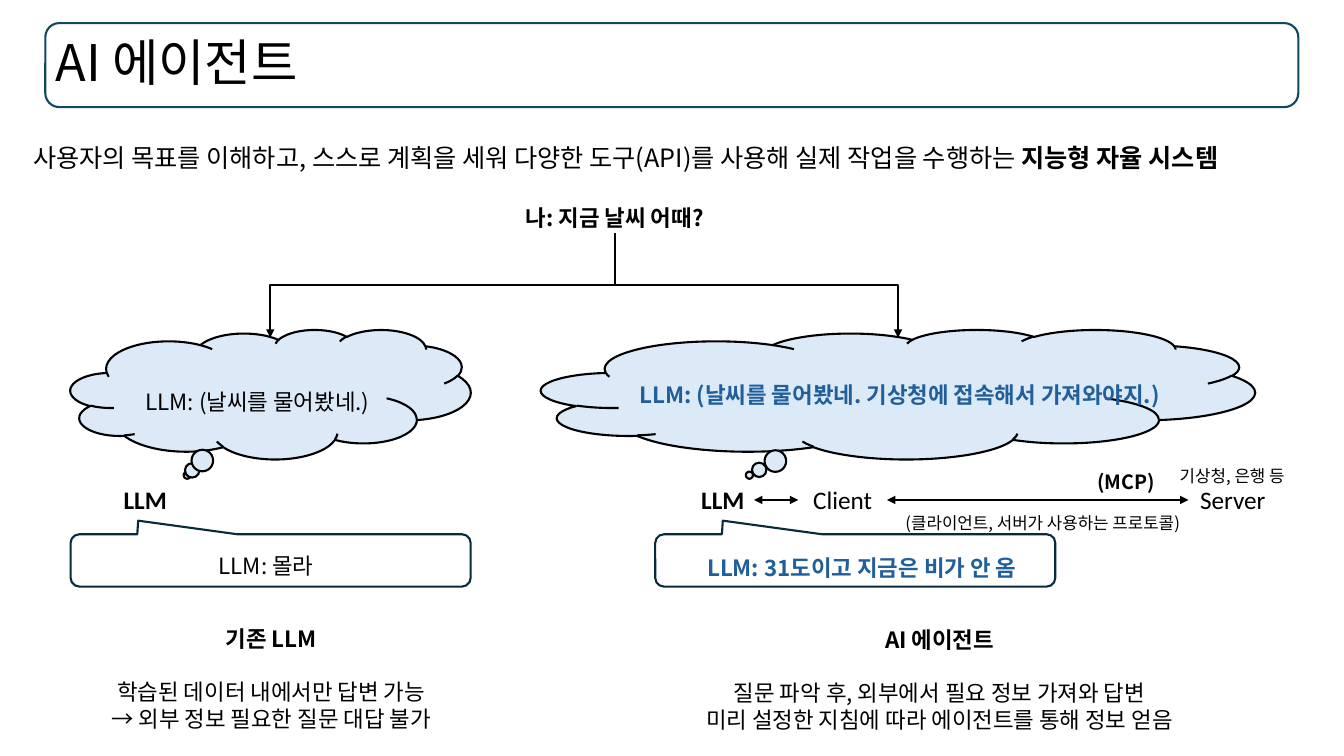
import pptx
import pptx.util
import pptx.dml.color
import pptx.enum.shapes
import pptx.enum.text
import pptx.oxml.ns
import lxml.etree

Pt = pptx.util.Pt
Shape = pptx.enum.shapes.MSO_SHAPE
Line = pptx.enum.shapes.MSO_CONNECTOR
Align = pptx.enum.text.PP_ALIGN
qn = pptx.oxml.ns.qn

COLOURS = {
    "ink": "000000",
    "cloud": "DCEAF7",
    "frame": "104862",
    "balloon": "092A39",
    "paper": "FFFFFF",
    "accent": "215F9A",
}
KOREAN = "Noto Sans CJK KR"
CAPTION_GAP = 19.2
SLIDE_WIDTH, SLIDE_HEIGHT = 960, 540


def colour(name):
    return pptx.dml.color.RGBColor.from_string(COLOURS[name])


def add_span(para, text, size=16, font=KOREAN, bold=False, ink="ink"):
    span = para.add_run()
    span.text = text
    span.font.size = Pt(size)
    span.font.bold = bold
    span.font.color.rgb = colour(ink)
    span.font.name = font
    east_asian = lxml.etree.SubElement(span.font._element, qn("a:ea"))
    east_asian.set("typeface", font)


def add_label(page, text, left, top, width, height, align=Align.CENTER,
              spacing=1, wrap=True, size=16, **style):
    box = page.shapes.add_textbox(Pt(left), Pt(top), Pt(width), Pt(height))
    box.text_frame.word_wrap = wrap
    para = box.text_frame.paragraphs[0]
    para.alignment = align
    para.line_spacing = Pt(size * 1.2 * spacing)
    add_span(para, text, size=size, **style)
    return box


def add_outline(page, kind, left, top, width, height, line, fill=None):
    shape = page.shapes.add_shape(kind, Pt(left), Pt(top), Pt(width), Pt(height))
    shape.shadow.inherit = False
    if fill:
        shape.fill.solid()
        shape.fill.fore_color.rgb = colour(fill)
    else:
        shape.fill.background()
    shape.line.color.rgb = colour(line)
    shape.line.width = Pt(1.5)
    return shape


def add_arrow(page, kind, start, end, heads):
    arrow = page.shapes.add_connector(kind, *map(Pt, start + end))
    arrow.line.color.rgb = colour("ink")
    arrow.line.width = Pt(1.5)
    for head in heads:
        mark = lxml.etree.SubElement(arrow.line._get_or_add_ln(), qn(f"a:{head}"))
        mark.set("type", "triangle")
    lxml.etree.SubElement(arrow.element.spPr, qn("a:effectLst"))
    return arrow


def add_branch(page, start, end):
    span, drop = abs(end[0] - start[0]), end[1] - start[1]
    middle_x, middle_y = (start[0] + end[0]) / 2, (start[1] + end[1]) / 2
    top, bottom = middle_y - span / 2, middle_y + span / 2
    side = -1 if end[0] < start[0] else 1
    branch = add_arrow(page, Line.ELBOW, (middle_x + side * drop / 2, top),
                       (middle_x - side * drop / 2, bottom), ["tailEnd"])
    quarter_turns = 1 if side < 0 else 3
    branch.element.spPr.find(qn("a:xfrm")).set("rot", str(quarter_turns * 5400000))


def add_heading(page, left, top, width, height):
    add_outline(page, Shape.ROUNDED_RECTANGLE, left, top, width, height, "frame")
    title = page.shapes.title
    title.left, title.top, title.width, title.height = map(Pt, (left, top, width, height))
    frame = title.text_frame
    frame.auto_size = pptx.enum.text.MSO_AUTO_SIZE.NONE
    frame.vertical_anchor = pptx.enum.text.MSO_ANCHOR.MIDDLE
    para = frame.paragraphs[0]
    para.alignment = Align.LEFT
    para.line_spacing = 0.9
    add_span(para, "AI ", size=36)
    add_span(para, "에이전트", size=36, font="Noto Sans")


def add_definition(page, left, top, width, height):
    box = add_label(
        page, "사용자의 목표를 이해하고, 스스로 계획을 세워 다양한 도구(API)를 사용해 실제 작업을 수행하는 ",
        left, top, width, height, align=Align.LEFT, size=18)
    add_span(box.text_frame.paragraphs[0], "지능형 자율 시스템", size=18, bold=True)


def add_question(page, left, top, width, height, targets):
    add_label(page, "나: 지금 날씨 어때?", left, top, width, height, spacing=1.5, bold=True)
    for target in targets:
        add_branch(page, (left + width / 2, top + height), target)


def add_balloon(page, left, top):
    balloon = add_outline(page, Shape.ROUNDED_RECTANGULAR_CALLOUT, left, top,
                          285.8, 37.4, "balloon", "paper")
    balloon.rotation = 180
    for index, value in enumerate((0.331, 0.76, 0.167)):
        balloon.adjustments[index] = value


def add_caption(page, heading, lines, left, top):
    box = add_label(page, heading, left, top, 394.6, 85, bold=True)
    for index, line in enumerate(lines):
        para = box.text_frame.add_paragraph()
        para.alignment = Align.CENTER
        para.line_spacing = Pt(19.2)
        para.space_before = Pt(0 if index else CAPTION_GAP)
        add_span(para, line)


def add_actor(page, name, left, top, bold=False):
    add_label(page, name, left, top, 63.4, 28.8, size=18, font="Calibri", bold=bold)


def add_plain_model(page, left, top, width):
    add_outline(page, Shape.CLOUD_CALLOUT, left, top, width, 92.5, "ink", "cloud")
    add_label(page, "LLM: (날씨를 물어봤네.)", left + 21.6, top + 28.8, 224, 33.8, spacing=1.5)
    add_actor(page, "LLM", left + 21.6, top + 107.3, bold=True)
    add_balloon(page, left, top + 146.2)
    add_label(page, "LLM: 몰라", left + 21.6, top + 146.2, 236.2, 33.8, spacing=1.5)
    add_caption(page, "기존 LLM",
                ["학습된 데이터 내에서만 답변 가능", "→ 외부 정보 필요한 질문 대답 불가"],
                left - 54, top + 207.4)


def add_agent(page, left, top, width):
    add_outline(page, Shape.CLOUD_CALLOUT, left, top, width, 92.5, "ink", "cloud")
    add_label(page, "LLM: (날씨를 물어봤네. 기상청에 접속해서 가져와야지.)",
              left + 23.8, top + 33.1, 464.4, 26.6, bold=True, ink="accent")
    for name, offset in (("LLM", 98), ("Client", 183.6), ("Server", 462.3)):
        add_actor(page, name, left + offset, top + 107.3, bold=name == "LLM")
    for start, end in ((152, 183.6), (247, 462.3)):
        add_arrow(page, Line.STRAIGHT, (left + start, top + 121.7),
                  (left + end, top + 121.7), ["headEnd", "tailEnd"])
    add_label(page, "기상청, 은행 등", left + 401.1, top + 93.6, 185, 21.6, size=12)
    add_label(page, "(MCP)", left + 390.3, top + 96.5, 61.9, 24.5,
              align=Align.LEFT, wrap=False, size=14, bold=True)
    add_label(page, "(클라이언트, 서버가 사용하는 프로토콜)",
              left + 242.7, top + 120.3, 231.1, 27.4, spacing=1.5, size=12)
    add_balloon(page, left + 81.4, top + 146.2)
    add_label(page, "LLM: 31도이고 지금은 비가 안 옴", left + 100.1, top + 147.6,
              257.8, 33.8, spacing=1.5, bold=True, ink="accent")
    add_caption(page, "AI 에이전트",
                ["질문 파악 후, 외부에서 필요 정보 가져와 답변",
                 "미리 설정한 지침에 따라 에이전트를 통해 정보 얻음"],
                left + 87.2, top + 208.1)


def main():
    deck = pptx.Presentation()
    deck.slide_width, deck.slide_height = Pt(SLIDE_WIDTH), Pt(SLIDE_HEIGHT)
    page = deck.slides.add_slide(deck.slide_layouts[5])
    add_heading(page, 32.4, 16.5, 895, 60)
    add_definition(page, 16.5, 98, 927.4, 28.8)
    add_plain_model(page, 50.4, 235.4, 285.8)
    add_agent(page, 386.6, 235.4, 509.8)
    add_question(page, 336.4, 132.5, 205.2, 33.8, [(193, 241.2), (641.5, 241.2)])
    deck.save("out.pptx")


if __name__ == "__main__":
    main()
